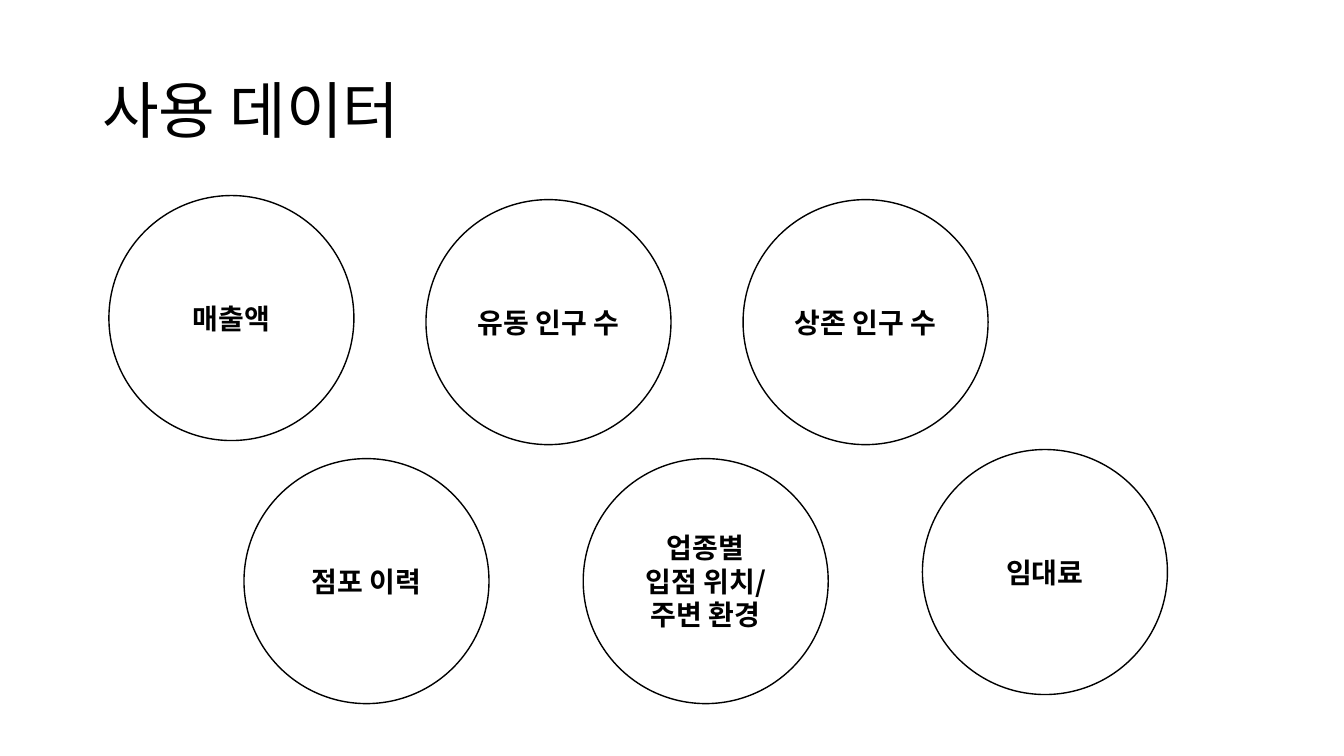
from lxml import etree
from pptx import Presentation
from pptx.dml.color import RGBColor
from pptx.enum.shapes import MSO_SHAPE
from pptx.enum.text import MSO_ANCHOR, PP_ALIGN
from pptx.oxml.ns import qn
from pptx.util import Pt

OVAL = MSO_SHAPE.OVAL
MIDDLE = MSO_ANCHOR.MIDDLE
CENTER = PP_ALIGN.CENTER
LEFT = PP_ALIGN.LEFT
FONT = "Noto Sans CJK KR"
BLACK = "000000"
WHITE = "FFFFFF"
DIAMETER = 175


def color(value):
    return RGBColor.from_string(value)


def write(frame, lines, size, bold, align):
    frame.word_wrap = True
    frame.vertical_anchor = MIDDLE
    for index, line in enumerate(lines):
        para = frame.add_paragraph() if index else frame.paragraphs[0]
        para.text = line
        para.alignment = align
        para.font.size = Pt(size)
        para.font.bold = bold
        para.font.color.rgb = color(BLACK)
        para.font.name = FONT
        properties = para._p.pPr.find(qn("a:defRPr"))
        etree.SubElement(properties, qn("a:ea"), typeface=FONT)


deck = Presentation()
deck.slide_width = Pt(960)
deck.slide_height = Pt(540)
page = deck.slides.add_slide(deck.slide_layouts[6])

title = page.shapes.add_textbox(Pt(66), Pt(28.75), Pt(828), Pt(104.4))
write(title.text_frame, ["사용 데이터"], 44, False, LEFT)
title.text_frame.paragraphs[0].line_spacing = 0.9

rows = [
    (77.8, 226.5, [
        (139.7, ["매출액"]),
        (142.6, ["유동 인구 수"]),
        (142.6, ["상존 인구 수"]),
    ]),
    (174.3, 242.3, [
        (327.6, ["점포 이력"]),
        (327.6, ["업종별", "입점 위치/", "주변 환경"]),
        (321.1, ["임대료"]),
    ]),
]
for left, step, circles in rows:
    for column, (top, lines) in enumerate(circles):
        circle = page.shapes.add_shape(
            OVAL, Pt(left + column * step), Pt(top), Pt(DIAMETER), Pt(DIAMETER))
        circle.shadow.inherit = False
        circle.fill.solid()
        circle.fill.fore_color.rgb = color(WHITE)
        circle.line.color.rgb = color(BLACK)
        circle.line.width = Pt(1)
        write(circle.text_frame, lines, 20, True, CENTER)

deck.save("out.pptx")
